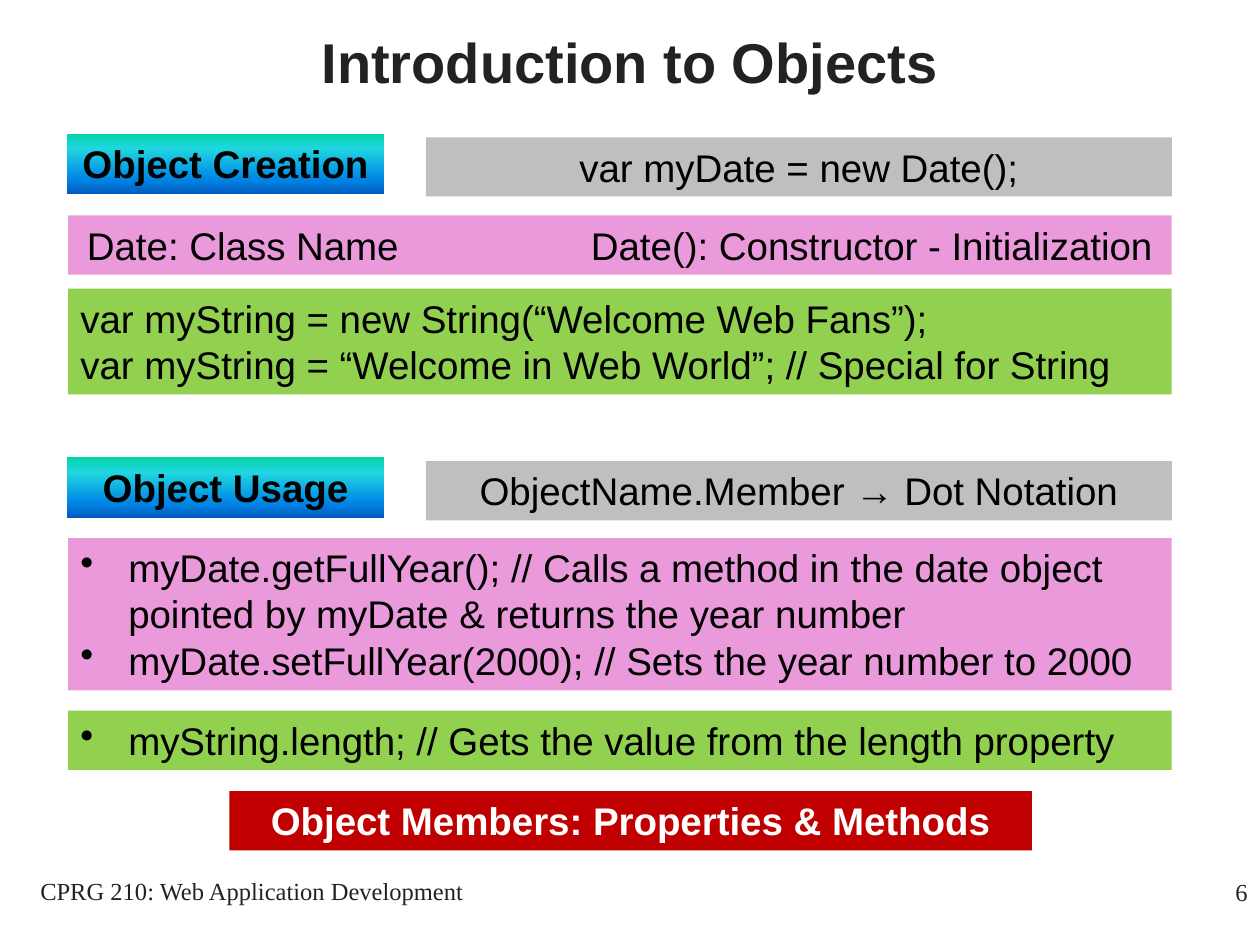
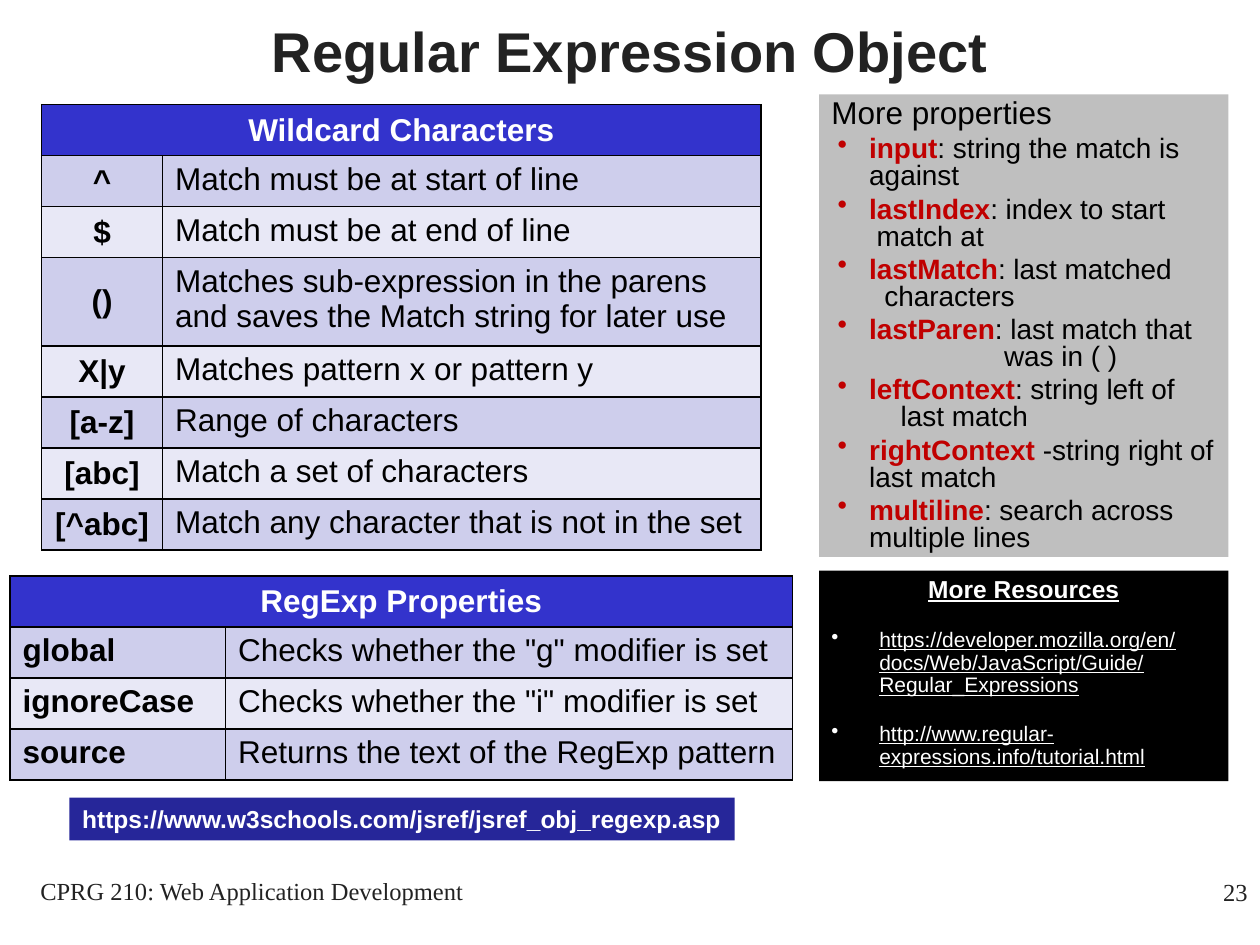
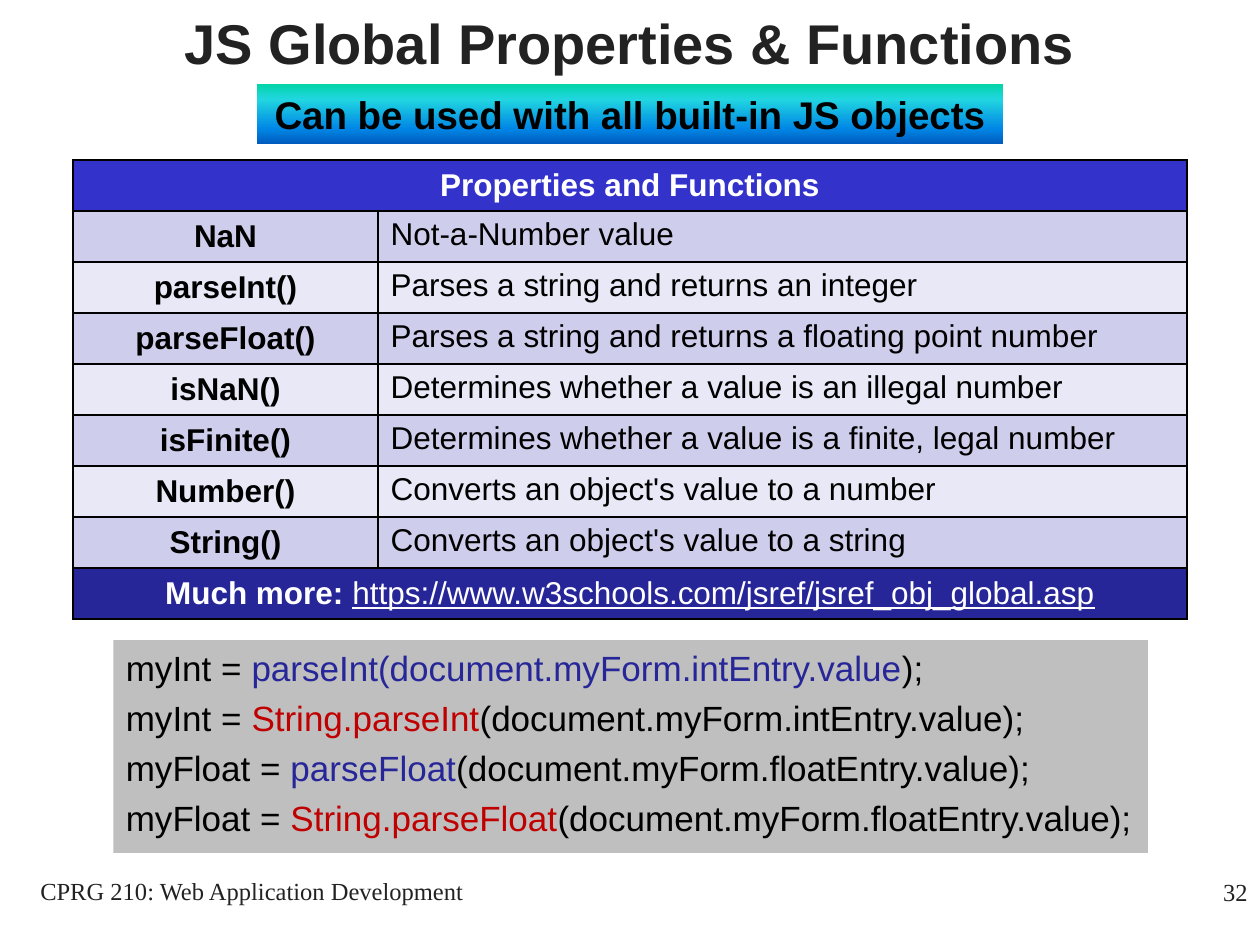
from copy import deepcopy
from pptx import Presentation
from pptx.dml.color import RGBColor
from pptx.enum.shapes import MSO_SHAPE
from pptx.enum.text import MSO_ANCHOR, PP_ALIGN
from pptx.oxml import parse_xml
from pptx.oxml.ns import nsdecls, qn
from pptx.util import Inches, Pt

BLACK = RGBColor(0x00, 0x00, 0x00)
WHITE = RGBColor(0xFF, 0xFF, 0xFF)
INK = RGBColor(0x22, 0x22, 0x22)
GREY = RGBColor(0xBF, 0xBF, 0xBF)
PINK = RGBColor(0xEA, 0x9A, 0xDB)
GREEN = RGBColor(0x92, 0xD0, 0x50)
RED = RGBColor(0xC0, 0x00, 0x00)
NAVY = RGBColor(0x26, 0x26, 0x99)
BLUE = RGBColor(0x33, 0x33, 0xCC)
BAND_DARK = RGBColor(0xCE, 0xCE, 0xEC)
BAND_LIGHT = RGBColor(0xE8, 0xE8, 0xF6)
OCEAN = [(0, RGBColor(0x03, 0xD4, 0xA8)), (25, RGBColor(0x21, 0xD6, 0xE0)),
         (75, RGBColor(0x00, 0x87, 0xE6)), (100, RGBColor(0x00, 0x5C, 0xBF))]
LEFT, CENTER, RIGHT = PP_ALIGN.LEFT, PP_ALIGN.CENTER, PP_ALIGN.RIGHT


def add_box(s, x, y, w, h, fill, paras, size=22, color=BLACK, bold=False, align=LEFT,
            font="Arial", anchor=MSO_ANCHOR.TOP, bullet=False, before=0):
    rect = [Inches(v) for v in (x, y, w, h)]
    if fill is None:
        sp = s.shapes.add_textbox(*rect)
    else:
        sp = s.shapes.add_shape(MSO_SHAPE.RECTANGLE, *rect)
        sp.shadow.inherit = False
        sp.line.fill.background()
        if fill is OCEAN:
            sp.fill.gradient()
            sp.fill.gradient_angle = 270
            stops = next(sp._element.iter(qn("a:gsLst")))
            for old in list(stops):
                stops.remove(old)
            for pos, rgb in OCEAN:
                stops.append(parse_xml(f'<a:gs {nsdecls("a")} pos="{pos * 1000}">'
                                       f'<a:srgbClr val="{rgb}"/></a:gs>'))
        else:
            sp.fill.solid()
            sp.fill.fore_color.rgb = fill
    tf = sp.text_frame
    tf.word_wrap = True
    tf.vertical_anchor = anchor
    for i, para in enumerate(paras):
        p = tf.paragraphs[0] if i == 0 else tf.add_paragraph()
        p.alignment = align
        if i and before:
            p.space_before = Pt(before)
        if bullet:
            pPr = p._p.get_or_add_pPr()
            pPr.set("marL", str(Inches(0.38)))
            pPr.set("indent", str(Inches(-0.38)))
            pPr.append(parse_xml(f'<a:buChar {nsdecls("a")} char="•"/>'))
        for text, run_color, run_bold in [(para, color, bold)] if isinstance(para, str) else para:
            r = p.add_run()
            r.text = text
            r.font.name, r.font.size = font, Pt(size)
            r.font.color.rgb, r.font.bold = run_color, run_bold
    return sp


def add_grid(s, x, y, widths, heading, rows, key_align=CENTER):
    shape = s.shapes.add_table(len(rows) + 1, 2, Inches(x), Inches(y),
                               Inches(sum(widths)), Inches(0.405 * (len(rows) + 1)))
    tbl = shape.table
    for col, width in zip(tbl.columns, widths):
        col.width = Inches(width)
    for i, texts in enumerate([(heading, "")] + rows):
        for j, text in enumerate(texts):
            cell = tbl.cell(i, j)
            cell.fill.solid()
            cell.fill.fore_color.rgb = BLUE if i == 0 else BAND_DARK if i % 2 else BAND_LIGHT
            centred = j == 0 and (i == 0 or key_align == CENTER)
            cell.vertical_anchor = MSO_ANCHOR.MIDDLE if centred else MSO_ANCHOR.TOP
            p = cell.text_frame.paragraphs[0]
            p.text = text
            p.alignment = CENTER if centred else LEFT
            for r in p.runs:
                r.font.name, r.font.size, r.font.bold = "Arial", Pt(18), j == 0
                r.font.color.rgb = WHITE if i == 0 else BLACK
            for k, side in enumerate(("lnL", "lnR", "lnT", "lnB")):
                cell._tc.get_or_add_tcPr().insert(k, parse_xml(
                    f'<a:{side} {nsdecls("a")} w="12700"><a:solidFill>'
                    f'<a:srgbClr val="{BLACK}"/></a:solidFill></a:{side}>'))
    tbl.cell(0, 0).merge(tbl.cell(0, 1))
    return tbl


prs = Presentation()
prs.slide_width, prs.slide_height = Inches(10), Inches(7.5)

slides = []
for title, title_top, number in [("Introduction to Objects", -0.14, "6"),
                                 ("Regular Expression Object", -0.23, "23"),
                                 ("JS Global Properties & Functions", -0.29, "32")]:
    s = prs.slides.add_slide(prs.slide_layouts[6])
    add_box(s, 0, title_top, 10, 1.25, None, [title], 32, INK, True, CENTER,
            anchor=MSO_ANCHOR.MIDDLE)
    add_box(s, 0, 6.9, 4, 0.5, None, ["CPRG 210: Web Application Development"], 14, INK,
            align=CENTER, font="Times New Roman")
    add_box(s, 7.92, 6.91, 2.08, 0.5, None, [number], 14, INK, align=RIGHT,
            font="Times New Roman")
    slides.append(s)
intro, regex, js_globals = slides

for top, label, code in [(1.06, "Object Creation", "var myDate = new Date();"),
                         (3.63, "Object Usage", "ObjectName.Member → Dot Notation")]:
    add_box(intro, 0.53, top, 2.52, 0.48, OCEAN, [label], bold=True, align=CENTER)
    add_box(intro, 3.38, top + 0.03, 5.92, 0.47, GREY, [code], align=CENTER)
date_box = add_box(intro, 0.54, 1.71, 8.76, 0.47, PINK,
                   ["Date: Class Name\tDate(): Constructor - Initialization"])
date_box.text_frame.margin_left = Inches(0.15)
date_box.text_frame.paragraphs[0]._p.get_or_add_pPr().append(parse_xml(
    f'<a:tabLst {nsdecls("a")}><a:tab pos="{Inches(4)}" algn="l"/></a:tabLst>'))
add_box(intro, 0.54, 2.29, 8.76, 0.84, GREEN,
        ["var myString = new String(“Welcome Web Fans”);",
         "var myString = “Welcome in Web World”; // Special for String"])
add_box(intro, 0.54, 4.27, 8.76, 1.21, PINK,
        ["myDate.getFullYear(); // Calls a method in the date object pointed by myDate"
         " & returns the year number",
         "myDate.setFullYear(2000); // Sets the year number to 2000"], bullet=True)
add_box(intro, 0.54, 5.64, 8.76, 0.47, GREEN,
        ["myString.length; // Gets the value from the length property"], bullet=True)
add_box(intro, 1.82, 6.28, 6.37, 0.47, RED, ["Object Members: Properties & Methods"],
        color=WHITE, bold=True, align=CENTER)

wildcards = add_grid(regex, 0.33, 0.83, (0.96, 4.75), "Wildcard Characters", [
    ("^", "Match must be at start of line"),
    ("$", "Match must be at end of line"),
    ("()", "Matches sub-expression in the parens and saves the Match string for later use"),
    ("X|y", "Matches pattern x or pattern y"),
    ("[a-z]", "Range of characters"),
    ("[abc]", "Match a set of characters"),
    ("[^abc]", "Match any character that is not in the set")])
wildcards.rows[3].height = Inches(0.7)
add_grid(regex, 0.08, 4.57, (1.71, 4.5), "RegExp Properties", [
    ("global", 'Checks whether the "g" modifier is set'),
    ("ignoreCase", 'Checks whether the "i" modifier is set'),
    ("source", "Returns the text of the RegExp pattern")], LEFT)
add_box(regex, 0.55, 6.33, 5.28, 0.34, NAVY,
        ["https://www.w3schools.com/jsref/jsref_obj_regexp.asp"], 14, WHITE, True, CENTER)

properties = [("input", ": string the match is against", "", 0),
              ("lastIndex", ": index to start", "match at", 0.06),
              ("lastMatch", ": last matched", "characters", 0.12),
              ("lastParen", ": last match that", "was in ( )", 1.07),
              ("leftContext", ": string left of", "last match", 0.25),
              ("rightContext", " -string right of last match", "", 0),
              ("multiline", ": search across multiple lines", "", 0)]
sp = add_box(regex, 6.5, 0.75, 3.25, 3.67, GREY, ["More properties"] + [
    [(name, RED, True), (text, BLACK, False)] for name, text, _, _ in properties],
    16, before=3.7)
paragraphs = sp.text_frame.paragraphs
paragraphs[0].runs[0].font.size = Pt(18)
paragraphs[0].line_spacing = 0.8
for p, (_, _, second_line, offset) in zip(paragraphs[1:], properties):
    p.line_spacing = 0.8
    pPr = p._p.get_or_add_pPr()
    pPr.set("marL", str(Inches(0.3)))
    pPr.set("indent", str(Inches(-0.25)))
    pPr.append(parse_xml(f'<a:buClr {nsdecls("a")}><a:srgbClr val="{RED}"/></a:buClr>'))
    pPr.append(parse_xml(f'<a:buChar {nsdecls("a")} char="•"/>'))
    if second_line:
        pPr.append(parse_xml(f'<a:tabLst {nsdecls("a")}>'
                             f'<a:tab pos="{Inches(0.3 + offset)}" algn="l"/></a:tabLst>'))
        rPr = p.runs[1]._r.rPr
        p.add_line_break()
        p._p[-1].append(deepcopy(rPr))
        r = p.add_run()
        r.text = "\t" + second_line
        r._r.insert(0, deepcopy(rPr))

sp = add_box(regex, 6.5, 4.53, 3.25, 1.67, BLACK, [
    "More Resources",
    "https://developer.mozilla.org/en/docs/Web/JavaScript/Guide/Regular_Expressions",
    "http://www.regular-expressions.info/tutorial.html"], 12, WHITE, bullet=True, before=2.8)
for p in sp.text_frame.paragraphs:
    p.line_spacing, p.space_after = 0.9, Pt(12)
    p.runs[0].font.underline = True
p = sp.text_frame.paragraphs[0]
p.alignment = CENTER
p.runs[0].font.size, p.runs[0].font.bold = Pt(14), True
pPr = p._p.pPr
pPr.set("marL", "0")
pPr.set("indent", "0")
pPr.remove(pPr.find(qn("a:buChar")))

add_box(js_globals, 2.04, 0.67, 5.92, 0.47, OCEAN, ["Can be used with all built-in JS objects"],
        bold=True, align=CENTER)
code_lines = [("myInt = ", "parseInt(document.myForm.intEntry.value", NAVY, ");"),
              ("myInt = ", "String.parseInt", RED, "(document.myForm.intEntry.value);"),
              ("myFloat = ", "parseFloat", NAVY, "(document.myForm.floatEntry.value);"),
              ("myFloat = ", "String.parseFloat", RED, "(document.myForm.floatEntry.value);")]
add_box(js_globals, 0.9, 5.08, 8.21, 1.69, GREY, [
    [(start, BLACK, False), (call, color, False), (end, BLACK, False)]
    for start, call, color, end in code_lines], 20, before=4.6)
tbl = add_grid(js_globals, 0.58, 1.27, (2.42, 6.42), "Properties and Functions", [
    ("NaN", "Not-a-Number value"),
    ("parseInt()", "Parses a string and returns an integer"),
    ("parseFloat()", "Parses a string and returns a floating point number"),
    ("isNaN()", "Determines whether a value is an illegal number"),
    ("isFinite()", "Determines whether a value is a finite, legal number"),
    ("Number()", "Converts an object's value to a number"),
    ("String()", "Converts an object's value to a string"),
    ("Much more: ", "")])
more = tbl.cell(8, 0)
more.merge(tbl.cell(8, 1))
more.fill.fore_color.rgb = NAVY
p = more.text_frame.paragraphs[0]
r = p.add_run()
r.text = "https://www.w3schools.com/jsref/jsref_obj_global.asp"
r.font.name, r.font.size, r.font.underline = "Arial", Pt(18), True
for r in p.runs:
    r.font.color.rgb = WHITE

prs.save("out.pptx")
